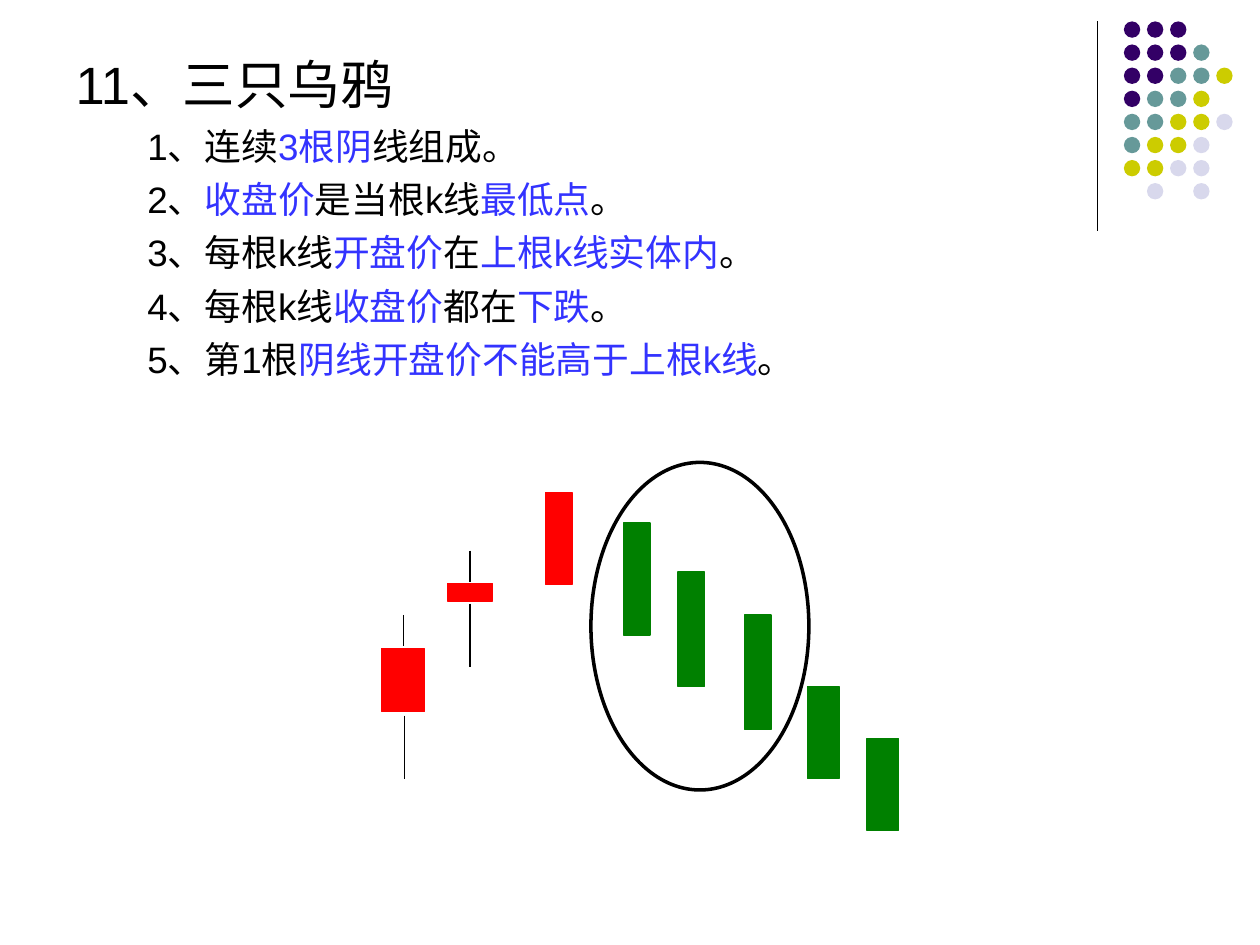
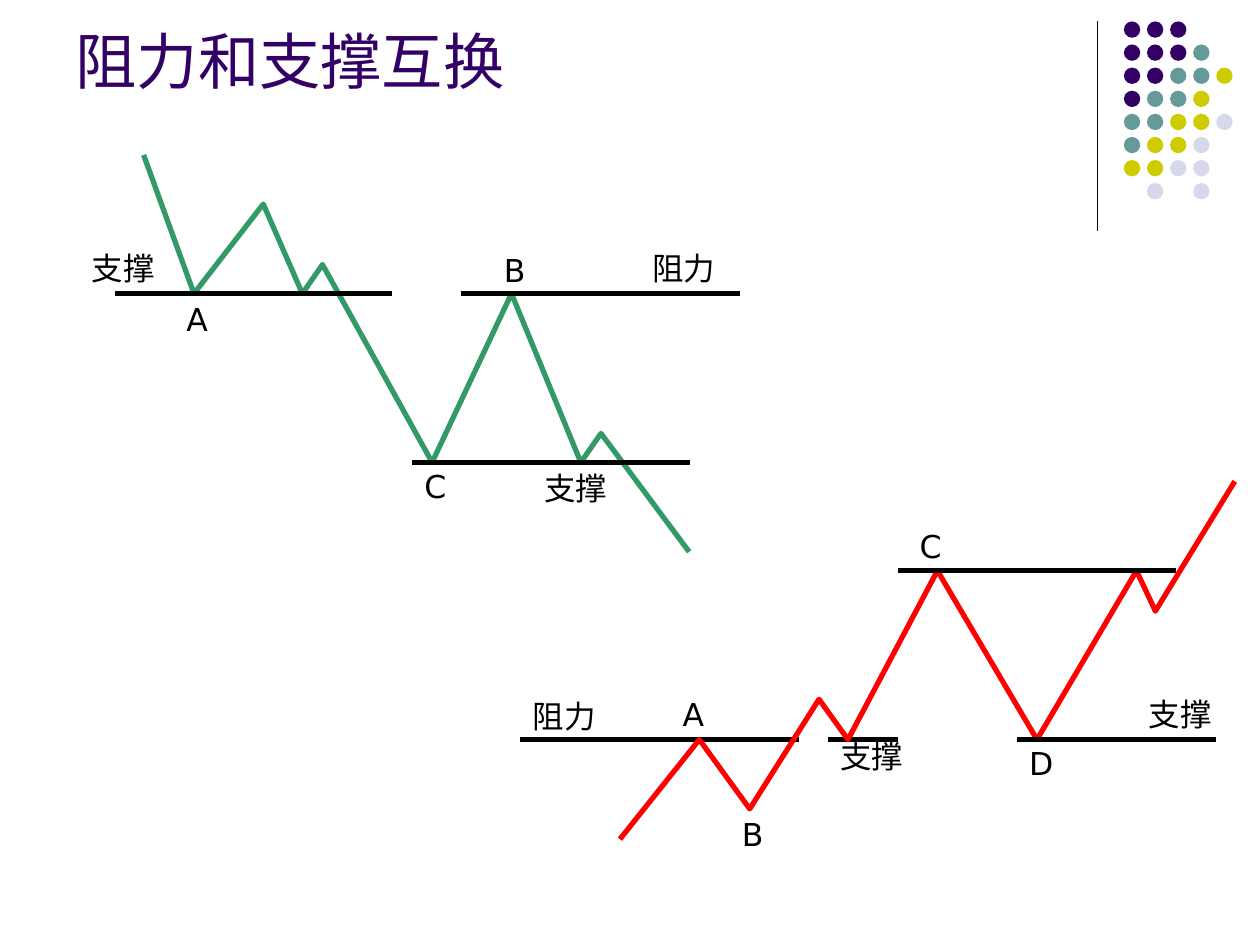
from typing import NamedTuple

from lxml import etree
from pptx import Presentation
from pptx import util as u
from pptx.dml.color import RGBColor
from pptx.enum import shapes, text
from pptx.oxml.ns import qn

SCALE = 9144  # EMU per px, 100 px to the inch
COLORS = {
    "black": "000000", "purple": "330066", "teal": "669999", "olive": "CCCC00",
    "lilac": "D8D8EC", "blue": "3333FF", "red": "FF0000", "green": "008000",
    "sea": "339966",
}
BODY_FONT, LABEL_FONT = "Arial", "DejaVu Sans"

# Corner ornament: one letter per dot
DOT_ROWS = ["PPP", "PPPT", "PPTTY", "PTTY", "TTYYL", "TYYL", "YYLL", ".L.L"]
DOT_COLORS = {"P": "purple", "T": "teal", "Y": "olive", "L": "lilac"}
DOT_LEFT, DOT_TOP, DOT_SIZE, DOT_PITCH = 892, 17, 13, 55 / 3


class Candle(NamedTuple):
    left: int
    top: int
    width: int
    height: int
    color: str


class Segment(NamedTuple):
    x1: int
    y1: int
    x2: int
    y2: int


class Level(NamedTuple):
    left: int
    right: int
    y: int


class Label(NamedTuple):
    text: str
    left: int
    top: int
    width: int = 86


class Trend(NamedTuple):
    color: str
    points: list[tuple[int, int]]
    levels_behind: list[Level]
    levels_in_front: list[Level]
    labels: list[Label]


# Slide 1 content: text parts alternate black, blue, black, ...
HEADING = "11、三只乌鸦"
RULES = [
    ["1、连续", "3根阴", "线组成。"],
    ["2、", "收盘价", "是当根k线", "最低点", "。"],
    ["3、每根k线", "开盘价", "在", "上根k线实体内", "。"],
    ["4、每根k线", "收盘价", "都在", "下跌", "。"],
    ["5、第1根", "阴线开盘价不能高于上根k线", "。"],
]
CANDLES = [
    Candle(303, 515, 34, 50, "red"), Candle(355, 463, 36, 14, "red"),
    Candle(433, 391, 21, 73, "red"), Candle(495, 415, 21, 89, "green"),
    Candle(538, 454, 21, 91, "green"), Candle(591, 488, 21, 91, "green"),
    Candle(641, 545, 25, 73, "green"), Candle(688, 586, 25, 73, "green"),
]
WICKS = [
    Segment(320, 488, 320, 513), Segment(321, 568, 321, 618),
    Segment(373, 437, 373, 462), Segment(373, 479, 373, 529),
]

# Slide 2 content
FALLING = Trend(
    "sea",
    [(114, 123), (154, 233), (209, 162), (240, 233), (256, 210),
     (343, 367), (406, 233), (461, 367), (477, 344), (547, 438)],
    [],
    [Level(91, 311, 233), Level(366, 587, 233), Level(327, 548, 367)],
    [Label("支撑", 63, 193), Label("A", 138, 233, 39), Label("C", 327, 366, 47),
     Label("阻力", 508, 193), Label("支撑", 422, 367), Label("B", 390, 194)],
)
RISING = Trend(
    "red",
    [(492, 666), (555, 587), (595, 642), (650, 555), (673, 587),
     (744, 453), (823, 587), (902, 453), (917, 485), (980, 382)],
    [Level(413, 634, 587), Level(657, 713, 587)],
    [Level(807, 965, 587), Level(713, 933, 453)],
    [Label("支撑", 902, 547), Label("D", 807, 586), Label("C", 720, 413),
     Label("支撑", 657, 580, 71), Label("阻力", 413, 548),
     Label("B", 579, 642), Label("A", 532, 547, 39)],
)


# Helpers
def px(value: float) -> u.Emu:
    return u.Emu(round(value * SCALE))


def rgb(name: str) -> RGBColor:
    return RGBColor.from_string(COLORS[name])


def place(sp, left: int, top: int, width: int, height: int) -> None:
    sp.left, sp.top, sp.width, sp.height = map(px, (left, top, width, height))


def style_run(r, size: float, color: str, font: str = BODY_FONT) -> None:
    r.font.size, r.font.name = u.Pt(size), font
    r.font.color.rgb = rgb(color)


def draw_shape(s, kind, left: float, top: float, width: float, height: float,
               fill: str | None = None, line: str | None = None,
               weight: float = 0.75) -> None:
    sp = s.shapes.add_shape(kind, px(left), px(top), px(width), px(height))
    sp.shadow.inherit = False
    if fill:
        sp.fill.solid()
        sp.fill.fore_color.rgb = rgb(fill)
    else:
        sp.fill.background()
    if line:
        sp.line.color.rgb = rgb(line)
        sp.line.width = u.Pt(weight)
    else:
        sp.line.fill.background()


def draw_line(s, seg: Segment, weight: float = 0.75) -> None:
    c = s.shapes.add_connector(shapes.MSO_CONNECTOR.STRAIGHT, *map(px, seg))
    c.line.color.rgb = rgb("black")
    c.line.width = u.Pt(weight)
    etree.SubElement(c._element.spPr, qn("a:effectLst"))


def draw_level(s, level: Level) -> None:
    draw_line(s, Segment(level.left, level.y, level.right, level.y), 3)


def draw_label(s, label: Label) -> None:
    box = s.shapes.add_textbox(px(label.left), px(label.top), px(label.width), px(40))
    tf = box.text_frame
    tf.word_wrap = True
    tf.text = label.text
    style_run(tf.paragraphs[0].runs[0], 18, "black", LABEL_FONT)


def draw_trend(s, trend: Trend) -> None:
    for level in trend.levels_behind:
        draw_level(s, level)
    builder = s.shapes.build_freeform(*trend.points[0], scale=SCALE)
    builder.add_line_segments(trend.points[1:], close=False)
    sp = builder.convert_to_shape()
    sp.shadow.inherit = False
    sp.fill.background()
    sp.line.color.rgb = rgb(trend.color)
    sp.line.width = u.Pt(3)
    for level in trend.levels_in_front:
        draw_level(s, level)
    for label in trend.labels:
        draw_label(s, label)


def format_paragraph(p, size: float, before: float, indent: int) -> None:
    p.space_before = u.Pt(before)
    pPr = p._p.get_or_add_pPr()
    pPr.set("marL", str(px(indent)))
    pPr.set("indent", "0")
    etree.SubElement(pPr, qn("a:buNone"))
    for i, r in enumerate(p.runs):
        style_run(r, size, "blue" if i % 2 else "black")


def add_slide(prs, layout: int):
    """Add a slide with the shared divider and corner dots."""
    s = prs.slides.add_slide(prs.slide_layouts[layout])
    draw_line(s, Segment(871, 17, 871, 183))
    for row, letters in enumerate(DOT_ROWS):
        for col, letter in enumerate(letters):
            if letter in DOT_COLORS:
                draw_shape(s, shapes.MSO_SHAPE.OVAL,
                           DOT_LEFT + col * DOT_PITCH, DOT_TOP + row * DOT_PITCH,
                           DOT_SIZE, DOT_SIZE, DOT_COLORS[letter])
    return s


# Slides
def build_three_crows(prs) -> None:
    s = add_slide(prs, 1)
    title = s.shapes.title._element
    title.getparent().remove(title)

    body = s.placeholders[1]
    place(body, 50, 36, 900, 634)
    tf = body.text_frame
    tf.auto_size = text.MSO_AUTO_SIZE.NONE
    tf.text = HEADING
    format_paragraph(tf.paragraphs[0], 30, 7.5, 0)
    for parts in RULES:
        p = tf.add_paragraph()
        for part in parts:
            p.add_run().text = part
        format_paragraph(p, 21, 5.2, 57)

    draw_shape(s, shapes.MSO_SHAPE.OVAL, 469, 367, 173, 260, line="black", weight=2)
    for candle in CANDLES:
        draw_shape(s, shapes.MSO_SHAPE.RECTANGLE, *candle, line=candle.color)
    for wick in WICKS:
        draw_line(s, wick)


def build_support_resistance(prs) -> None:
    s = add_slide(prs, 5)
    title = s.shapes.title
    place(title, 50, 13, 825, 69)
    tf = title.text_frame
    tf.auto_size = text.MSO_AUTO_SIZE.NONE
    tf.vertical_anchor = text.MSO_ANCHOR.BOTTOM
    tf.text = "阻力和支撑互换"
    p = tf.paragraphs[0]
    p.alignment = text.PP_ALIGN.LEFT
    style_run(p.runs[0], 35, "purple")
    for trend in (FALLING, RISING):
        draw_trend(s, trend)


def main() -> None:
    prs = Presentation()
    prs.slide_width, prs.slide_height = px(1000), px(750)
    build_three_crows(prs)
    build_support_resistance(prs)
    prs.save("out.pptx")


if __name__ == "__main__":
    main()
